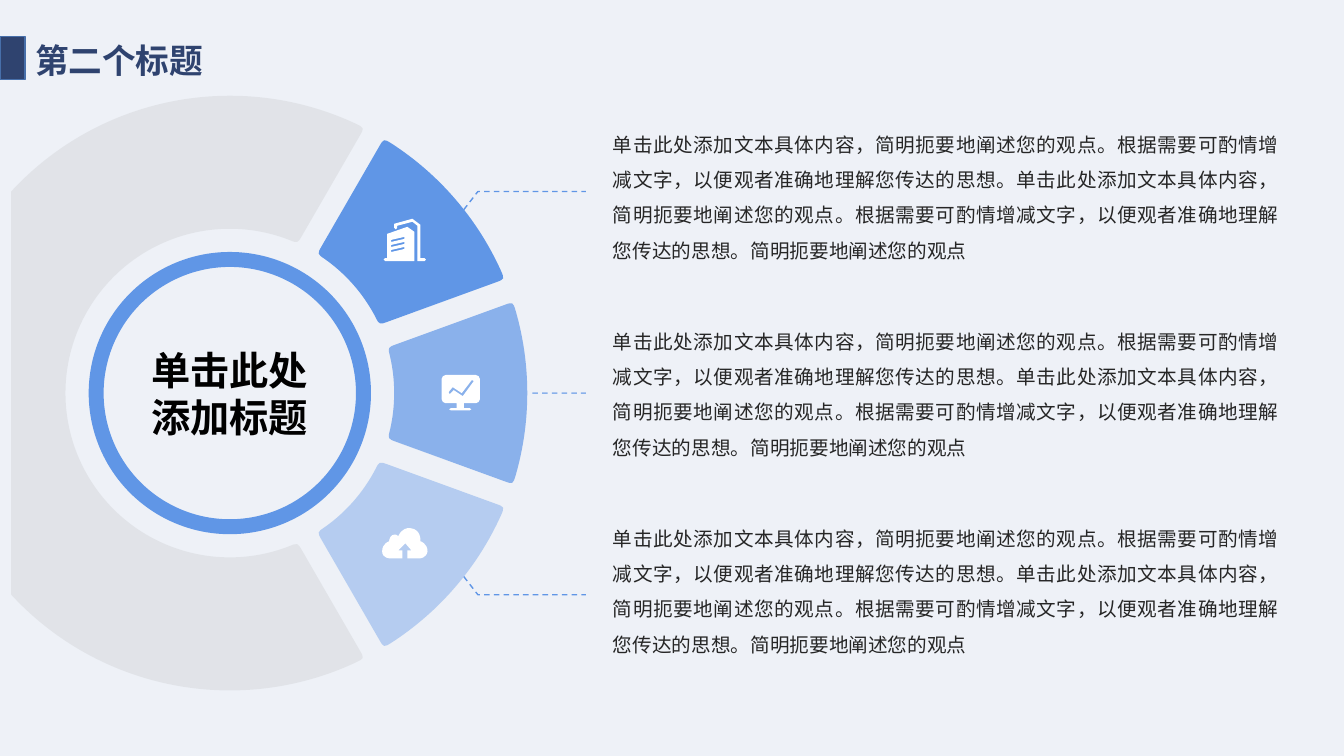
import math
from pptx import Presentation
from pptx.dml.color import RGBColor
from pptx.enum.dml import MSO_LINE
from pptx.enum.shapes import MSO_CONNECTOR, MSO_SHAPE
from pptx.enum.text import MSO_ANCHOR, PP_ALIGN
from pptx.oxml.ns import qn
from pptx.util import Inches, Pt
from lxml import etree

NAVY = RGBColor(0x2F, 0x43, 0x6F)
EDGE = RGBColor(0x47, 0x6F, 0xAA)
BLUE = RGBColor(0x60, 0x96, 0xE6)
GRAY = RGBColor(0x99, 0x99, 0x99)
INK = RGBColor(0x26, 0x26, 0x26)
BLACK = RGBColor(0, 0, 0)
WHITE = RGBColor(0xFF, 0xFF, 0xFF)
PAPER = RGBColor(0xEE, 0xF1, 0xF7)
DASH = MSO_LINE.DASH
FONT = "Noto Sans CJK SC"
BODY = ("单击此处添加文本具体内容，简明扼要地阐述您的观点。根据需要可酌情增减文字，以便观者准确地理解您传达的思想。"
        "单击此处添加文本具体内容，简明扼要地阐述您的观点。根据需要可酌情增减文字，以便观者准确地理解您传达的思想。"
        "简明扼要地阐述您的观点")

prs = Presentation()
prs.slide_width, prs.slide_height = Inches(13.33), Inches(7.5)
s = prs.slides.add_slide(prs.slide_layouts[6])
s.background.fill.solid()
s.background.fill.fore_color.rgb = PAPER


def add_run(p, text, size, color, bold=False):
    r = p.add_run()
    r.text = text
    r.font.size, r.font.bold, r.font.name = Pt(size), bold, FONT
    r.font.color.rgb = color
    etree.SubElement(r._r.get_or_add_rPr(), qn("a:ea"), typeface=FONT)


def draw(contours, fill=None, alpha=100):
    pen = None
    for contour in contours:
        points = [(Inches(seg[-2]), Inches(seg[-1])) for seg in contour]
        if pen is None:
            pen = s.shapes.build_freeform(*points[0], scale=1.0)
        else:
            pen.move_to(*points[0])
        pen.add_line_segments(points[1:], close=fill is not None)
    sp = pen.convert_to_shape()
    segs = [seg for contour in contours for seg in contour[1:]]
    for line, seg in zip(sp._element.xpath(".//a:lnTo"), segs):
        if len(seg) == 6:
            curve = etree.Element(qn("a:cubicBezTo"))
            for x, y in zip(seg[::2], seg[1::2]):
                etree.SubElement(curve, qn("a:pt"), x=str(Inches(x) - sp.left), y=str(Inches(y) - sp.top))
            line.getparent().replace(line, curve)
    sp.shadow.inherit = False
    if fill is None:
        sp.fill.background()
        sp.line.color.rgb, sp.line.width, sp.line.dash_style = BLUE, Pt(1), DASH
        return
    sp.fill.solid()
    sp.fill.fore_color.rgb = fill
    sp.line.fill.background()
    if alpha < 100:
        color = sp._element.spPr.xpath("./a:solidFill/a:srgbClr")[0]
        etree.SubElement(color, qn("a:alpha"), val=str(alpha * 1000))


tf = s.shapes.add_textbox(Inches(0.25), Inches(0.35), Inches(3.11), Inches(0.5)).text_frame
tf.word_wrap = True
add_run(tf.paragraphs[0], "第二个标题", 24, NAVY, True)

tab = s.shapes.add_shape(MSO_SHAPE.RECTANGLE, 0, Inches(0.36), Inches(0.25), Inches(0.43))
tab.shadow.inherit = False
tab.fill.solid()
tab.fill.fore_color.rgb = NAVY
tab.line.color.rgb, tab.line.width = EDGE, Pt(1)

for row in range(3):
    top = Inches(1.2) + row * Inches(3.91) // 2
    tf = s.shapes.add_textbox(Inches(6.08), top, Inches(6.6), Inches(1.49)).text_frame
    tf.word_wrap = True
    tf.margin_left = tf.margin_right = tf.margin_top = tf.margin_bottom = 0
    p = tf.paragraphs[0]
    p.alignment, p.line_spacing = PP_ALIGN.JUSTIFY, 1.5
    add_run(p, BODY, 14, INK)

CX, CY, OUTER, INNER, ROUND, CUT = 2.28, 3.9, 2.95, 1.63, 0.09, 0.11
cut_angle = math.acos((CUT - CX) / OUTER)
sectors = [
    (GRAY, 15, (60, 0.16), (300, -0.16)),
    (BLUE, 100, (20, 0.13), (60, -0.06)),
    (BLUE, 70, (-20, 0.11), (20, -0.11)),
    (BLUE, 40, (-60, 0.06), (-20, -0.13)),
]
for fill, alpha, start, end in sectors:
    corners = []
    for radius, step, (ray, gap), turn in ((OUTER, -ROUND, start, 1), (OUTER, -ROUND, end, -1),
                                           (INNER, ROUND, end, -1), (INNER, ROUND, start, 1)):
        base, inset = math.radians(ray), radius + step
        tip = base + math.asin(gap / radius)
        corners.append([(inset, base + math.asin(gap / inset)), (radius, tip),
                        (radius, tip + turn * ROUND / radius)])
    outline = []
    for k in (0, 2):
        (a, b, c), (f, e, d) = corners[k], corners[k + 1]
        outline += [(a,), (b, b, c)]
        radius, first, last = c[0], c[1], d[1]
        clipped = k == 0 and last > cut_angle
        if clipped:
            stops = [first, cut_angle, 2 * math.pi - cut_angle, last]
        else:
            stops = [first + (last - first) * i / 4 for i in range(5)]
        for i, (u, v) in enumerate(zip(stops, stops[1:])):
            if clipped and i == 1:
                outline.append(((radius, v),))
                continue
            pull = 4 / 3 * math.tan((v - u) / 4)
            reach, swing = radius * math.hypot(1, pull), math.atan(pull)
            outline.append(((reach, u + swing), (reach, v - swing), (radius, v)))
        outline.append((e, e, f))
    draw([[tuple(v for rad, ang in seg for v in (CX + rad * math.cos(ang), CY - rad * math.sin(ang)))
           for seg in outline]], fill, alpha)

ring = s.shapes.add_shape(MSO_SHAPE.DONUT, Inches(0.88), Inches(2.5), Inches(2.8), Inches(2.8))
ring.adjustments[0] = 0.053
ring.shadow.inherit = False
ring.fill.solid()
ring.fill.fore_color.rgb = BLUE
ring.line.fill.background()
tf = ring.text_frame
tf.word_wrap = True
tf.vertical_anchor = MSO_ANCHOR.MIDDLE
tf.paragraphs[0].alignment = PP_ALIGN.CENTER
add_run(tf.paragraphs[0], "单击此处添加标题", 28, BLACK, True)

for side in (-1, 1):
    draw([[(4.6, CY + side * 1.82), (4.74, CY + side * 2), (5.81, CY + side * 2)]])
lead = s.shapes.add_connector(MSO_CONNECTOR.STRAIGHT, Inches(5.28), Inches(CY), Inches(5.81), Inches(CY))
lead.line.color.rgb, lead.line.width, lead.line.dash_style = BLUE, Pt(1), DASH
etree.SubElement(lead._element.spPr.xpath("./a:ln/a:solidFill/a:srgbClr")[0], qn("a:alpha"), val="70000")
etree.SubElement(lead._element.spPr, qn("a:effectLst"))

tower = [(3.84, 2.32), (4.04, 2.25), (4.11, 2.3), (4.11, 2.59), (3.82, 2.59),
         (3.8, 2.59, 3.8, 2.56, 3.82, 2.56), (3.84, 2.56)]
windows = [[(3.88, y + 0.03), (4.01, y), (4.01, y + 0.02), (3.88, y + 0.05)] for y in (2.35, 2.4, 2.45)]
back = [(3.91, 2.22), (4.09, 2.17), (4.17, 2.23), (4.17, 2.56), (4.21, 2.56),
        (4.23, 2.56, 4.23, 2.59, 4.21, 2.59), (4.14, 2.59), (4.14, 2.24), (4.09, 2.2),
        (3.94, 2.24), (3.94, 2.26), (3.94, 2.28, 3.91, 2.28, 3.91, 2.26)]
draw([tower, *windows, back], WHITE)

screen = [(4.42, 3.72), (4.72, 3.72), (4.74, 3.72, 4.76, 3.74, 4.76, 3.76), (4.76, 3.96),
          (4.76, 3.98, 4.74, 4, 4.72, 4), (4.6, 4), (4.6, 4.05), (4.66, 4.05),
          (4.68, 4.05, 4.68, 4.07, 4.66, 4.07), (4.47, 4.07), (4.45, 4.07, 4.45, 4.05, 4.47, 4.05),
          (4.53, 4.05), (4.53, 4), (4.42, 4), (4.4, 4, 4.38, 3.98, 4.38, 3.96), (4.38, 3.76),
          (4.38, 3.74, 4.4, 3.72, 4.42, 3.72)]
trend = [(4.45, 3.89), (4.49, 3.84), (4.58, 3.9), (4.68, 3.77), (4.7, 3.78),
         (4.59, 3.93), (4.5, 3.87), (4.46, 3.91)]
draw([screen, trend], WHITE)

cloud = [(4.17, 5.37), (4.17, 5.37, 4.18, 5.25, 4.07, 5.24), (3.98, 5.23, 3.95, 5.32, 3.95, 5.32),
         (3.95, 5.32, 3.93, 5.29, 3.89, 5.31), (3.86, 5.33, 3.86, 5.37, 3.86, 5.37),
         (3.86, 5.37, 3.79, 5.39, 3.79, 5.47), (3.79, 5.54, 3.87, 5.54, 3.87, 5.54),
         (3.99, 5.54), (3.99, 5.46), (3.95, 5.46), (4.02, 5.39), (4.08, 5.46), (4.04, 5.46),
         (4.04, 5.54), (4.16, 5.54), (4.16, 5.54, 4.23, 5.54, 4.24, 5.47),
         (4.24, 5.39, 4.17, 5.37, 4.17, 5.37)]
draw([cloud], WHITE)

prs.save("out.pptx")
